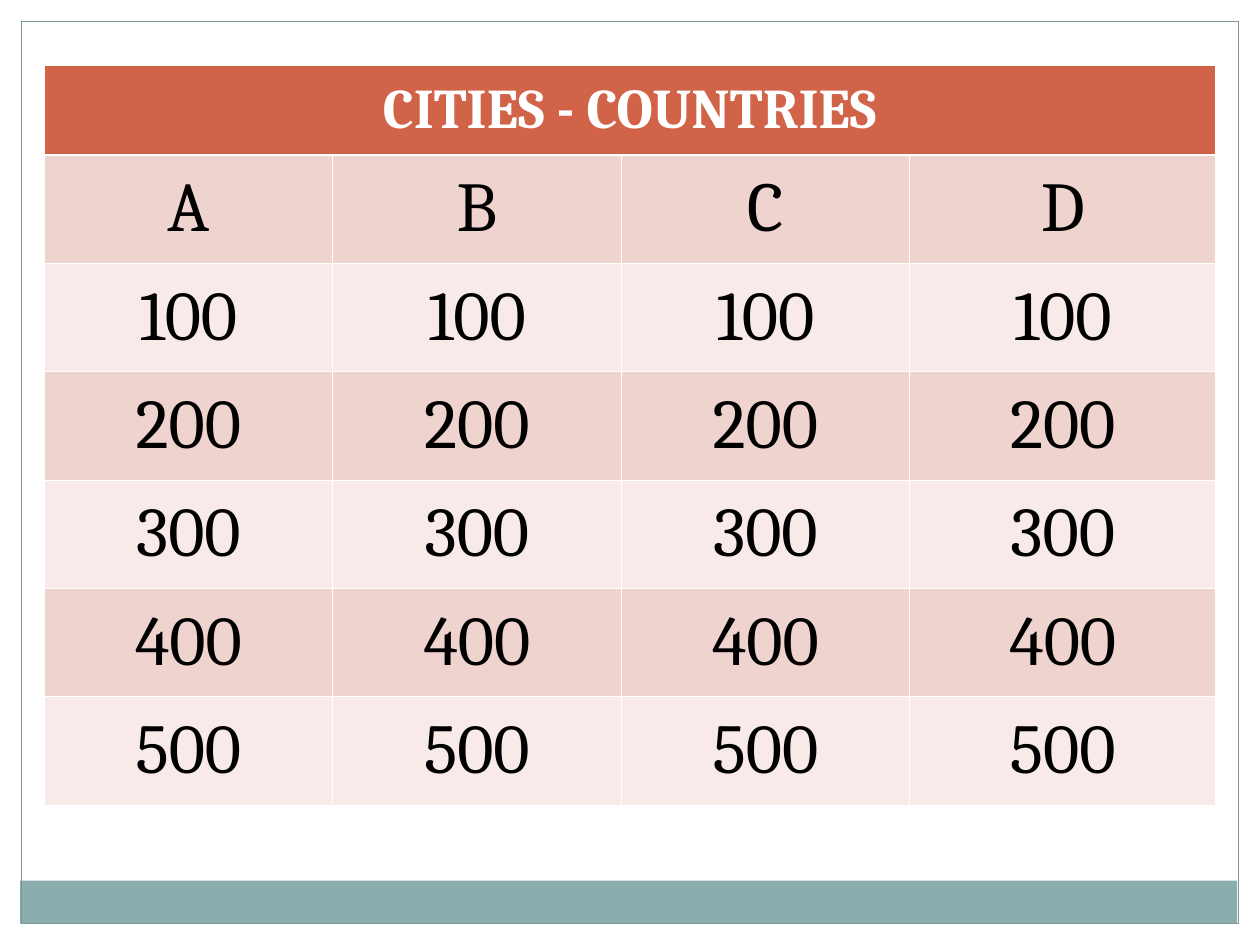
from dataclasses import dataclass
from typing import Optional

from lxml.etree import SubElement
from pptx import Presentation
from pptx.dml.color import RGBColor
from pptx.enum.shapes import MSO_SHAPE as Shape
from pptx.enum.text import MSO_ANCHOR as Anchor, PP_ALIGN as Align
from pptx.oxml.ns import qn
from pptx.util import Inches, Pt

WIDTH, HEIGHT = 10, 7.5
MARGIN = 0.17
FONT = "Cambria"
WHITE, BLACK = "FFFFFF", "000000"
HEADER_FILL = "D16349"
BAND_FILLS = ("EED3CF", "F7EAE9")
THIN, THICK = 0.45, 1.47

TITLE = "CITIES - COUNTRIES"
CATEGORIES = ["A", "B", "C", "D"]
POINTS = range(100, 600, 100)
COLUMN_WIDTHS = [2.29] * 3 + [2.43]
ROW_HEIGHTS = [0.71] + [0.86] * 6


@dataclass
class Panel:
    left: float
    top: float
    width: float
    height: float
    fill: Optional[str] = None
    line: Optional[str] = None


@dataclass
class CellStyle:
    fill: str
    color: str = BLACK
    size: int = 40
    bold: bool = False
    top: float = THIN
    bottom: float = THIN


PANELS = [
    Panel(0, 0, WIDTH, MARGIN, fill=WHITE),
    Panel(WIDTH - MARGIN, 0, MARGIN, HEIGHT, fill=WHITE),
    Panel(0, 0, MARGIN, HEIGHT, fill=WHITE),
    Panel(0.16, 6.99, 9.66, 0.34, fill="8CADAE"),
    Panel(MARGIN, MARGIN, WIDTH - 2 * MARGIN, HEIGHT - 2 * MARGIN, line="7B9899"),
]


def rgb(color: str) -> RGBColor:
    return RGBColor.from_string(color)


def draw_panel(page, panel: Panel) -> None:
    place = map(Inches, (panel.left, panel.top, panel.width, panel.height))
    box = page.shapes.add_shape(Shape.RECTANGLE, *place)
    box.shadow.inherit = False
    if panel.fill:
        box.fill.solid()
        box.fill.fore_color.rgb = rgb(panel.fill)
    else:
        box.fill.background()
    if panel.line:
        box.line.color.rgb = rgb(panel.line)
        box.line.width = Pt(0.75)
    else:
        box.line.fill.background()


def add_borders(cell, style: CellStyle) -> None:
    properties = cell._tc.get_or_add_tcPr()
    widths = {"L": THIN, "R": THIN, "T": style.top, "B": style.bottom}
    for side, width in widths.items():
        line = SubElement(properties, qn(f"a:ln{side}"), w=str(Pt(width)))
        fill = SubElement(line, qn("a:solidFill"))
        SubElement(fill, qn("a:srgbClr"), val=WHITE)


def format_cell(cell, style: CellStyle, text: str = "") -> None:
    add_borders(cell, style)
    cell.fill.solid()
    cell.fill.fore_color.rgb = rgb(style.fill)
    cell.vertical_anchor = Anchor.MIDDLE
    cell.text = text
    para = cell.text_frame.paragraphs[0]
    para.alignment = Align.CENTER
    font = para.font
    font.name, font.size, font.bold = FONT, Pt(style.size), style.bold
    font.color.rgb = rgb(style.color)


def draw_board(page) -> None:
    place = map(Inches, (0.35, 0.52, sum(COLUMN_WIDTHS), sum(ROW_HEIGHTS)))
    table = page.shapes.add_table(len(ROW_HEIGHTS), len(COLUMN_WIDTHS), *place).table
    for column, width in zip(table.columns, COLUMN_WIDTHS):
        column.width = Inches(width)
    for row, height in zip(table.rows, ROW_HEIGHTS):
        row.height = Inches(height)

    # Header across all columns
    header = CellStyle(HEADER_FILL, WHITE, size=32, bold=True, bottom=THICK)
    table.cell(0, 0).merge(table.cell(0, len(CATEGORIES) - 1))
    for column in range(len(CATEGORIES)):
        format_cell(table.cell(0, column), header, "" if column else TITLE)

    # Categories, then one banded row for each point value
    body = [CATEGORIES] + [[str(value)] * len(CATEGORIES) for value in POINTS]
    for row, texts in enumerate(body, start=1):
        style = CellStyle(BAND_FILLS[(row - 1) % 2], top=THICK if row == 1 else THIN)
        for column, text in enumerate(texts):
            format_cell(table.cell(row, column), style, text)


def main() -> None:
    deck = Presentation()
    deck.slide_width, deck.slide_height = Inches(WIDTH), Inches(HEIGHT)
    page = deck.slides.add_slide(deck.slide_layouts[6])
    for panel in PANELS:
        draw_panel(page, panel)
    draw_board(page)
    deck.save("out.pptx")


if __name__ == "__main__":
    main()
